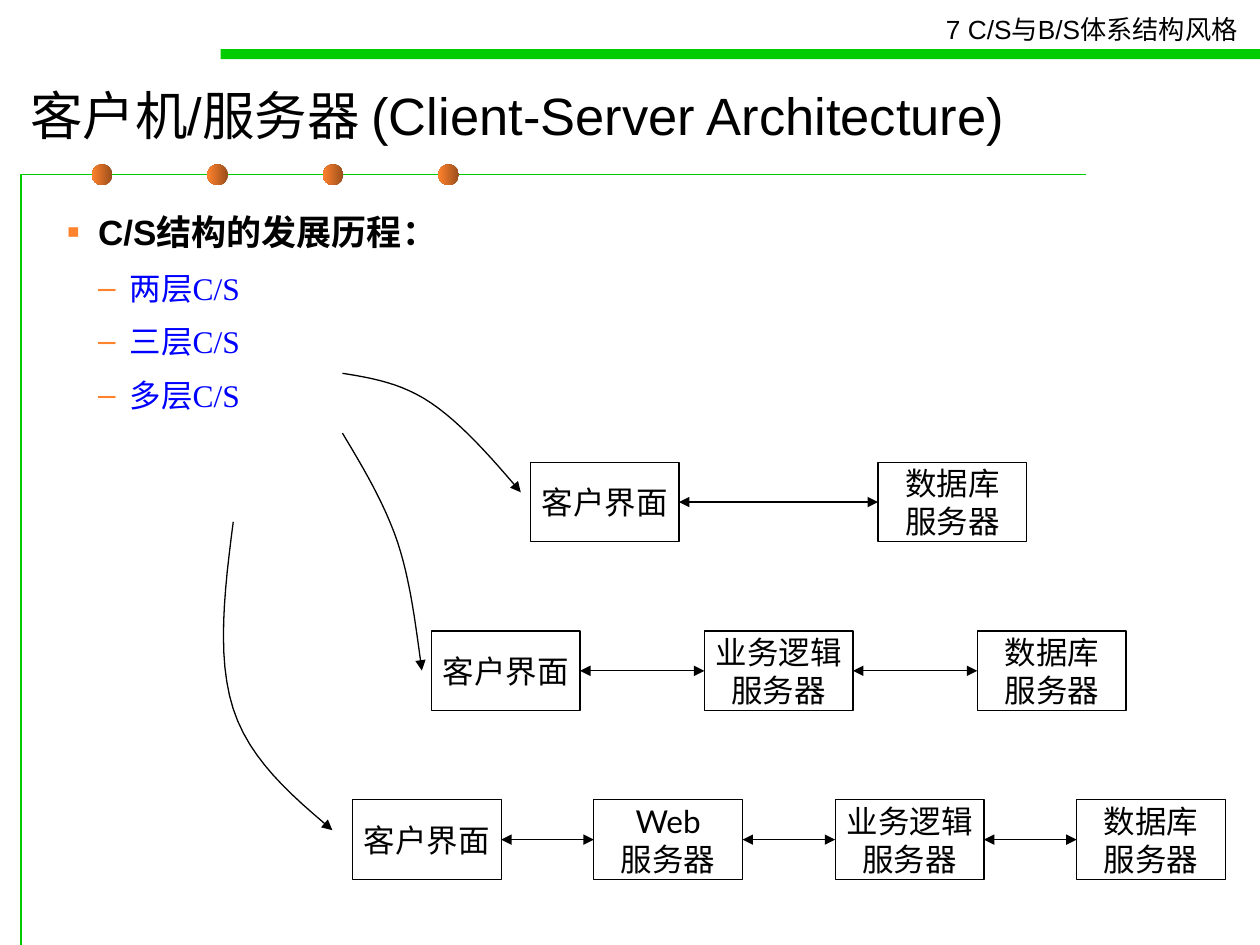
import pptx
import pptx.util
import pptx.dml.color
import pptx.enum.shapes
import pptx.enum.text
import pptx.oxml.ns
from lxml import etree

Pt = pptx.util.Pt
SHAPE = pptx.enum.shapes.MSO_SHAPE
ALIGN = pptx.enum.text.PP_ALIGN
ANCHOR = pptx.enum.text.MSO_ANCHOR
GREEN, BLACK, BLUE, ORANGE = "00CC00", "000000", "0000FF", "FF822D"
BOX_W, BOX_H = 85, 45.4


def color(code):
    return pptx.dml.color.RGBColor.from_string(code)


def sub(parent, tag, **attrs):
    return etree.SubElement(parent, pptx.oxml.ns.qn(tag), attrs)


def add_run(para, text, size, face, code, bold=False):
    run = para.add_run()
    run.text = text
    font = run.font
    font.size, font.name, font.bold = Pt(size), face, bold
    font.color.rgb = color(code)


def set_line(shape, code, *ends):
    """Set a thin line, with triangles at the given ends."""
    shape.line.width = Pt(0.75)
    shape.line.color.rgb = color(code)
    for end in ends:
        sub(shape.line._get_or_add_ln(), end, type="triangle")


def add_shape(slide, kind, x, y, w, h):
    shape = slide.shapes.add_shape(kind, Pt(x), Pt(y), Pt(w), Pt(h))
    shape.shadow.inherit = False
    return shape


def add_path(slide, points, code, *ends):
    """Draw an open, unfilled line through the points."""
    spots = [(Pt(x), Pt(y)) for x, y in points]
    draft = slide.shapes.build_freeform(*spots[0])
    draft.add_line_segments(spots[1:], close=False)
    shape = draft.convert_to_shape()
    shape.shadow.inherit = False
    shape.fill.background()
    set_line(shape, code, *ends)


def add_frame(slide, x, y, w, h):
    """Draw the green corner line with its four beads."""
    add_path(slide, [(x, y + h), (x, y), (x + w, y)], GREEN)
    size = 11.8
    for i in range(4):
        bead = add_shape(slide, SHAPE.OVAL, x + 40.5 + i * 66, y - size / 2, size, size)
        bead.line.fill.background()
        bead.fill.gradient()
        bead.fill.gradient_angle = 180
        for stop, code, place in zip(bead.fill.gradient_stops, ("9A4E1B", ORANGE), (0, 1)):
            stop.color.rgb = color(code)
            stop.position = place


def add_header(slide, x, y, w, h):
    """Draw the green bar with the chapter name above its right end."""
    bar = add_shape(slide, SHAPE.RECTANGLE, x, y, w, h)
    bar.fill.solid()
    bar.fill.fore_color.rgb = color(GREEN)
    bar.line.fill.background()
    label = slide.shapes.add_textbox(Pt(x + w - 186.5), Pt(y - 24), Pt(191.5), Pt(25))
    frame = label.text_frame
    frame.word_wrap = True
    frame.margin_right = 0
    add_run(frame.paragraphs[0], "7 C/S与B/S体系结构风格", 15, "Arial", BLACK)


def add_title(slide, x, y, w, h):
    title = slide.shapes.title
    title.left, title.top, title.width, title.height = Pt(x), Pt(y), Pt(w), Pt(h)
    frame = title.text_frame
    frame.auto_size = pptx.enum.text.MSO_AUTO_SIZE.NONE
    frame.vertical_anchor = ANCHOR.MIDDLE
    para = frame.paragraphs[0]
    para.alignment = ALIGN.LEFT
    add_run(para, "客户机/服务器 (Client-Server Architecture)", 30, "Arial", BLACK)


def set_bullet(para, mark, size, left):
    props = para._p.get_or_add_pPr()
    props.set("marL", str(Pt(left)))
    props.set("indent", str(Pt(-18)))
    sub(sub(props, "a:buClr"), "a:srgbClr", val=ORANGE)
    sub(props, "a:buSzPct", val=str(size * 1000))
    sub(props, "a:buFont", typeface="Arial")
    sub(props, "a:buChar", char=mark)


def add_outline(slide, x, y, w, h):
    """Place the bulleted list."""
    frame = slide.shapes.add_textbox(Pt(x), Pt(y), Pt(w), Pt(h)).text_frame
    frame.word_wrap = True
    head = frame.paragraphs[0]
    set_bullet(head, "▪", 110, 18)
    head.space_after = Pt(3.7)
    add_run(head, "C/S结构的发展历程：", 20, "Arial", BLACK, True)
    for text in ("两层C/S", "三层C/S", "多层C/S"):
        para = frame.add_paragraph()
        para.level = 1
        set_bullet(para, "–", 100, 36)
        para.space_before, para.space_after = Pt(5.6), Pt(3.4)
        add_run(para, text, 18, "Times New Roman", BLUE)


def add_node(slide, lines, x, y):
    node = add_shape(slide, SHAPE.RECTANGLE, x, y, BOX_W, BOX_H)
    node.fill.solid()
    node.fill.fore_color.rgb = color("FFFFFF")
    set_line(node, BLACK)
    frame = node.text_frame
    frame.word_wrap = False
    frame.vertical_anchor = ANCHOR.MIDDLE
    for i, text in enumerate(lines):
        para = frame.add_paragraph() if i else frame.paragraphs[0]
        para.alignment = ALIGN.CENTER
        add_run(para, text, 18, "Lato", BLACK)
    return node


def add_tiers(slide, tiers, x, y, w):
    """Spread the tiers evenly over the width, joined by two-way arrows."""
    step = (w - BOX_W) / (len(tiers) - 1)
    nodes = [add_node(slide, lines, x + i * step, y) for i, lines in enumerate(tiers)]
    for left, right in zip(nodes, nodes[1:]):
        link = slide.shapes.add_connector(pptx.enum.shapes.MSO_CONNECTOR.STRAIGHT, 0, 0, 0, 0)
        link.begin_connect(left, 3)
        link.end_connect(right, 1)
        set_line(link, BLACK, "a:headEnd", "a:tailEnd")
        sub(link._element.spPr, "a:effectLst")


def add_curve(slide, knots, steps=12):
    """Draw an arrow along joined cubic curves, each with four knots."""
    points = [knots[0]]
    for k in range(0, len(knots) - 1, 3):
        for i in range(1, steps + 1):
            t = i / steps
            parts = ((1 - t) ** 3, 3 * t * (1 - t) ** 2, 3 * t * t * (1 - t), t ** 3)
            points.append(tuple(sum(p * knot[axis] for p, knot in zip(parts, knots[k:k + 4]))
                                for axis in (0, 1)))
    add_path(slide, points, BLACK, "a:tailEnd")


CLIENT, DATA = ["客户界面"], ["数据库", "服务器"]
LOGIC, WEB = ["业务逻辑", "服务器"], ["Web", "服务器"]
ROWS = [
    ([CLIENT, DATA], 303, 283.7),
    ([CLIENT, LOGIC, DATA], 246.5, 397),
    ([CLIENT, WEB, LOGIC, DATA], 201.4, 498.8),
]
CURVES = [
    [(195.7, 213.3), (212.4, 216), (229.7, 218.9), (246.5, 230.4),
     (263.5, 241.9), (280.8, 261.4), (297.6, 281.3)],
    [(195.7, 247.5), (207.4, 267.1), (219.6, 287.3), (227.2, 309.8),
     (234.7, 332.6), (237.6, 357.8), (241.1, 383.2)],
    [(133.3, 298.2), (128.2, 337), (123.8, 375.8), (133.2, 404.9),
     (142.6, 434.2), (166.3, 454.3), (189.9, 474.4)],
]


def main():
    deck = pptx.Presentation()
    deck.slide_width, deck.slide_height = Pt(720), Pt(540)
    slide = deck.slides.add_slide(deck.slide_layouts[5])
    add_frame(slide, 12, 99.9, 608.6, 440.1)
    add_header(slide, 126, 28, 594, 5.8)
    add_title(slide, 10, 40, 669, 51)
    add_outline(slide, 31, 116.6, 646.6, 402.5)
    for i, (tiers, x, w) in enumerate(ROWS):
        add_tiers(slide, tiers, x, 264.2 + i * 96.45, w)
    for knots in CURVES:
        add_curve(slide, knots)
    deck.save("out.pptx")


if __name__ == "__main__":
    main()
